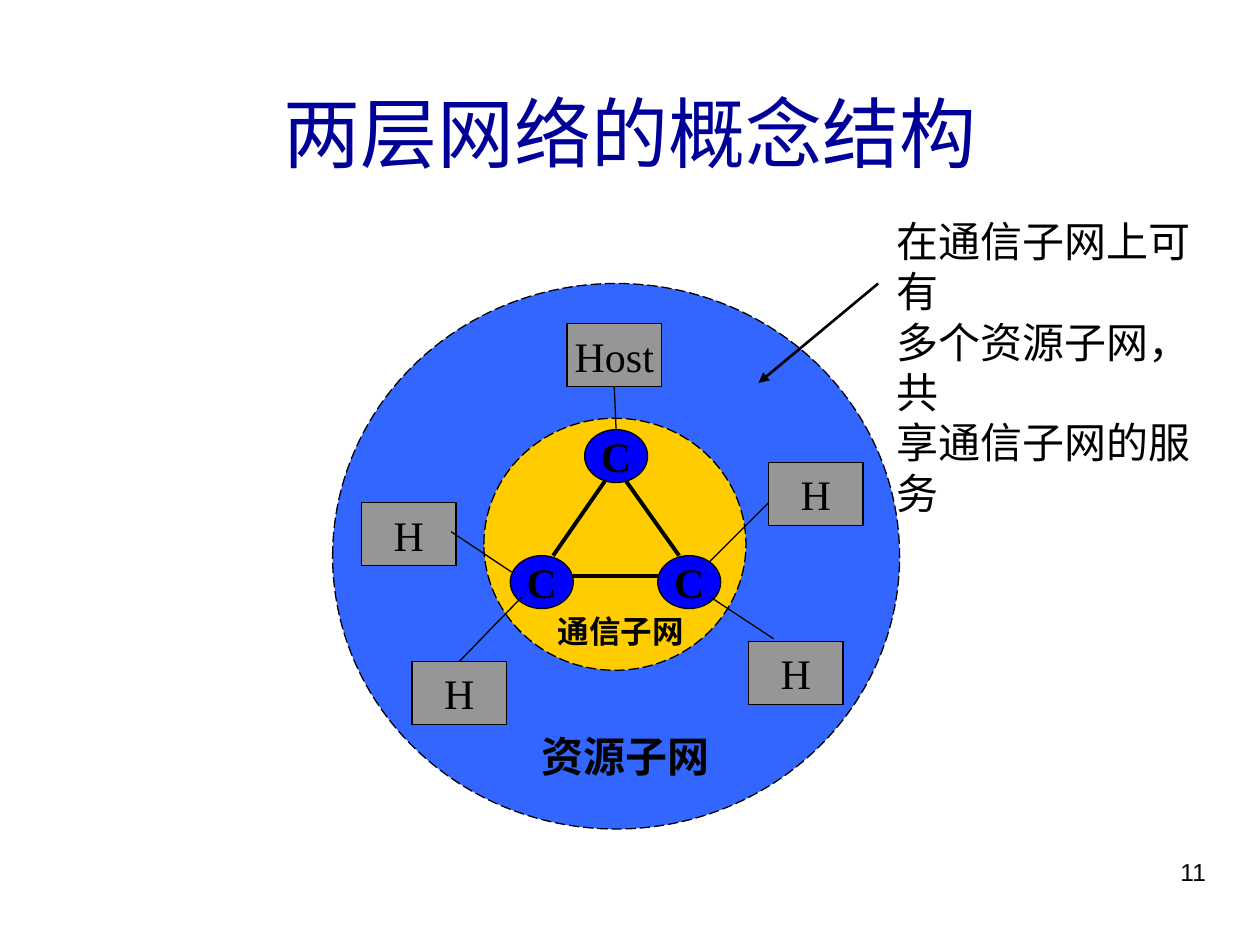
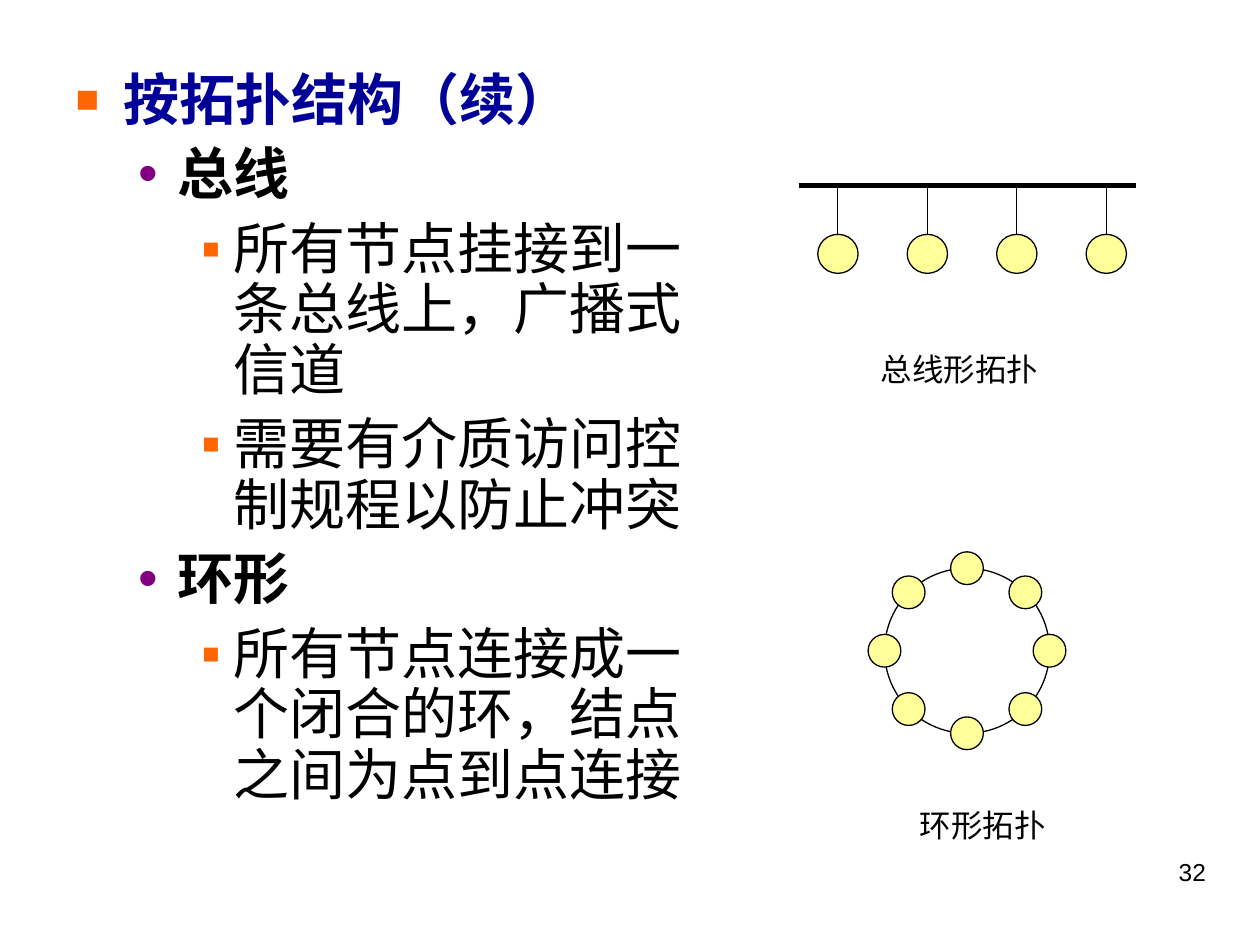
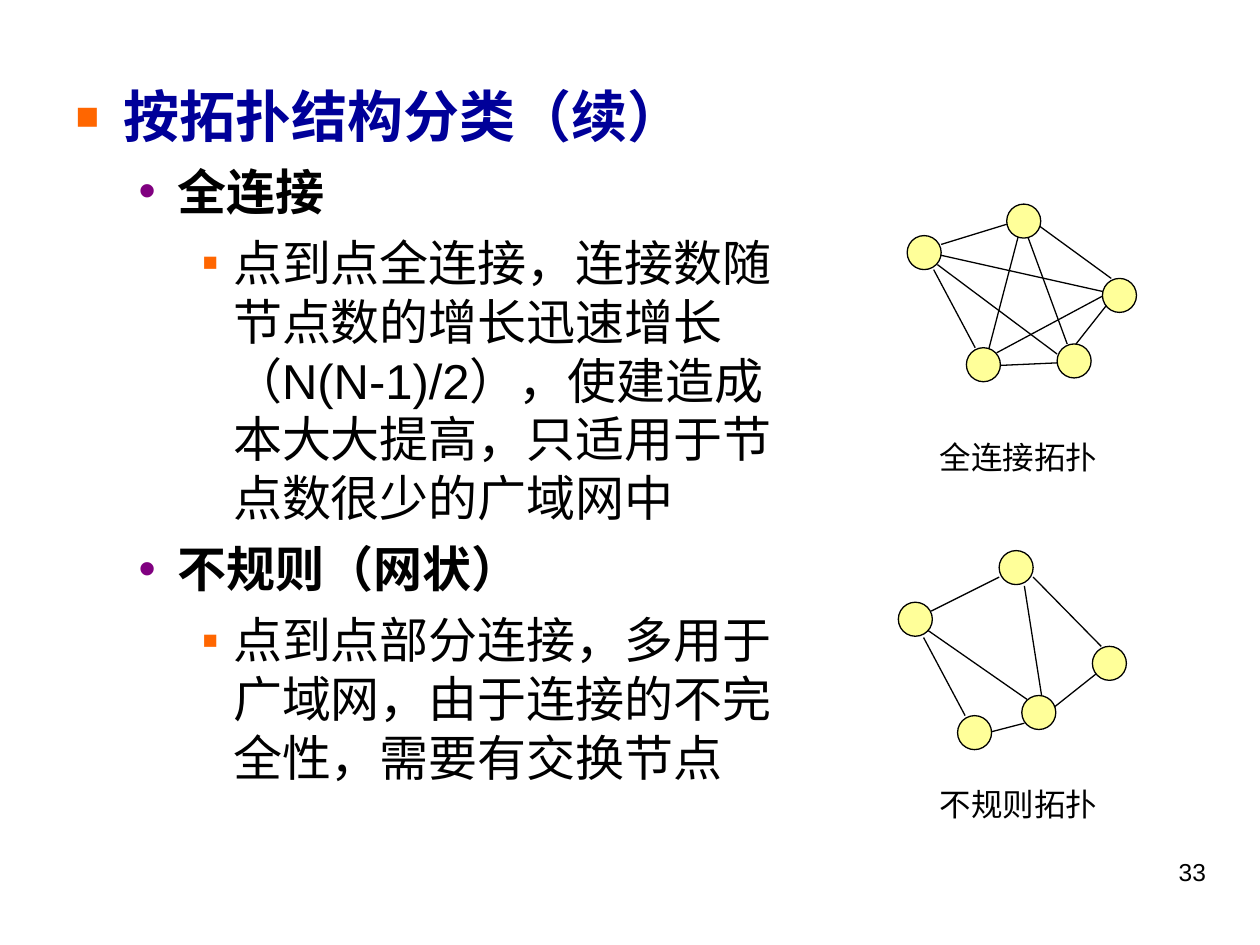
from math import cos, pi, sin

from lxml import etree
from pptx import Presentation
from pptx.dml.color import RGBColor
from pptx.enum.dml import MSO_LINE_DASH_STYLE as DASH
from pptx.enum.shapes import MSO_CONNECTOR as CXN, MSO_SHAPE as SHAPE
from pptx.enum.text import MSO_ANCHOR as ANCHOR, MSO_AUTO_SIZE as FIT, PP_ALIGN as ALIGN
from pptx.oxml.ns import qn
from pptx.util import Inches, Pt

COLORS = {
    "black": "000000", "title": "000099", "resource": "3366FF", "comm": "FFCC00",
    "switch": "0000FF", "host": "969696", "node": "FFFF99",
    "square": "FF6600", "dot": "800080",
}
FONTS = {
    "title": {"name": "Arial", "size": Pt(44), "bold": False},
    "number": {"name": "Arial", "size": Pt(14)},
    "caption": {"name": "Arial", "size": Pt(18)},
    "callout": {"name": "Arial", "size": Pt(24)},
    "host": {"name": "Times New Roman", "size": Pt(24)},
    "switch": {"name": "Times New Roman", "size": Pt(24), "bold": True},
    "small": {"name": "Times New Roman", "size": Pt(18), "bold": True},
}
LEVELS = [
    {"margin": 0.38, "indent": -0.38, "char": "■", "color": "square", "percent": 70},
    {"margin": 0.81, "indent": -0.31, "char": "•", "color": "dot", "percent": 100},
    {"margin": 1.25, "indent": -0.25, "char": "▪", "color": "square", "percent": 100},
]
FULL_MESH = {
    "nodes": [(1.19, 1.11), (0.47, 1.14), (1.55, 0.59), (0, 0.25), (0.79, 0)],
    "edges": [
        (0.24, 0.48, 1.19, 1.19), (0.93, 0.07, 0.64, 1.18), (0.27, 0.32, 0.79, 0.16),
        (0.21, 0.52, 0.54, 1.14), (0.71, 1.18, 1.55, 0.73), (0.95, 0.24, 1.27, 1.11),
        (1.03, 0.16, 1.62, 0.59), (0.74, 1.28, 1.19, 1.26), (1.34, 1.11, 1.6, 0.78),
        (0.24, 0.4, 1.58, 0.7),
    ],
}
PARTIAL_MESH = {
    "nodes": [(1.54, 0.76), (0.8, 0), (0.47, 1.31), (0, 0.41), (0.98, 1.15)],
    "edges": [
        (0.26, 0.48, 0.8, 0.21), (0.2, 0.69, 0.53, 1.31), (1, 0.28, 1.14, 1.17),
        (1.07, 0.21, 1.61, 0.76), (0.73, 1.44, 1, 1.37), (1.24, 1.24, 1.58, 0.97),
        (0.23, 0.63, 1.02, 1.18),
    ],
}


def rgb(name):
    """Return the named colour."""
    return RGBColor.from_string(COLORS[name])


def style(font, formats, color="black"):
    """Apply a dict of format values and a colour to a font."""
    for key, value in formats.items():
        setattr(font, key, value)
    font.color.rgb = rgb(color)


def add_label(shapes, box, lines, font, align=ALIGN.LEFT, wrap=True, fit=FIT.NONE):
    """Add a text box with one paragraph per line."""
    tf = shapes.add_textbox(*map(Inches, box)).text_frame
    tf.word_wrap, tf.auto_size = wrap, fit
    for i, line in enumerate(lines):
        p = tf.add_paragraph() if i else tf.paragraphs[0]
        p.alignment = align
        r = p.add_run()
        r.text = line
        style(r.font, FONTS[font])


def add_block(shapes, kind, box, fill=None, text="", font="host", dash=None):
    """Add a thinly outlined preset shape with optional centred text."""
    sp = shapes.add_shape(kind, *map(Inches, box))
    sp.shadow.inherit = False
    if fill:
        sp.fill.solid()
        sp.fill.fore_color.rgb = rgb(fill)
    else:
        sp.fill.background()
    sp.line.color.rgb = rgb("black")
    sp.line.width = Pt(0.75)
    if dash:
        sp.line.dash_style = dash
    if text:
        tf = sp.text_frame
        tf.word_wrap, tf.vertical_anchor = False, ANCHOR.MIDDLE
        p = tf.paragraphs[0]
        p.alignment = ALIGN.CENTER
        r = p.add_run()
        r.text = text
        style(r.font, FONTS[font])
    return sp


def add_line(shapes, x, y, ends, width=0.75, arrow=False):
    """Add a straight line whose ends are offsets from x, y."""
    x1, y1, x2, y2 = ends
    line = shapes.add_connector(CXN.STRAIGHT, *map(Inches, (x + x1, y + y1, x + x2, y + y2)))
    line.line.color.rgb = rgb("black")
    line.line.width = Pt(width)
    if arrow:
        etree.SubElement(line.line._get_or_add_ln(), qn("a:tailEnd"), type="triangle")
    etree.SubElement(line._element.spPr, qn("a:effectLst"))
    return line


def add_number(s, number):
    """Add the page number at the lower right."""
    add_label(s.shapes, (7.17, 6.75, 2.5, 0.52), [str(number)], "number", ALIGN.RIGHT)


def add_bullet(p, level):
    """Set the indents and bullet of an outline level."""
    fmt = LEVELS[level]
    p.level = level
    pPr = p._p.get_or_add_pPr()
    pPr.set("marL", str(Inches(fmt["margin"])))
    pPr.set("indent", str(Inches(fmt["indent"])))
    color = etree.SubElement(pPr, qn("a:buClr"))
    etree.SubElement(color, qn("a:srgbClr"), val=COLORS[fmt["color"]])
    etree.SubElement(pPr, qn("a:buSzPct"), val=str(fmt["percent"] * 1000))
    etree.SubElement(pPr, qn("a:buFont"), typeface="Arial")
    etree.SubElement(pPr, qn("a:buChar"), char=fmt["char"])


def add_outline(s, box, items, size, gap, spacing):
    """Fill the body placeholder with a three-level outline."""
    body = s.placeholders[1]
    body.left, body.top, body.width, body.height = map(Inches, box)
    tf = body.text_frame
    tf.auto_size = FIT.NONE
    for i, (level, text) in enumerate(items):
        p = tf.add_paragraph() if i else tf.paragraphs[0]
        add_bullet(p, level)
        p.space_before = Pt(gap if i else 0)
        p.line_spacing = spacing
        r = p.add_run()
        r.text = text
        formats = {"name": "Arial", "size": Pt(size if level else 32), "bold": level < 2}
        style(r.font, formats, "black" if level else "title")


def add_two_layers(s, x, y):
    """Draw the resource subnet around the communication subnet."""
    sh = s.shapes
    add_block(sh, SHAPE.OVAL, (x, y, 4.5, 4.33), "resource", dash=DASH.LONG_DASH)
    add_block(sh, SHAPE.OVAL, (x + 1.2, y + 1.07, 2.08, 2), "comm", dash=DASH.LONG_DASH)
    for dx, dy in [(2, 1.16), (2.58, 2.16), (1.41, 2.16)]:
        add_block(sh, SHAPE.OVAL, (x + dx, y + dy, 0.5, 0.42), "switch", "C", "switch")
    hosts = [(1.86, 0.32, "Host"), (0.63, 3, "H"), (3.3, 2.84, "H"), (3.46, 1.42, "H"),
             (0.23, 1.74, "H")]
    top, lower, *_ = [add_block(sh, SHAPE.RECTANGLE, (x + dx, y + dy, 0.75, 0.5), "host", text)
                      for dx, dy, text in hosts]
    for ends in [(2.16, 1.57, 1.75, 2.16), (2.33, 1.57, 2.75, 2.16), (1.91, 2.32, 2.58, 2.32)]:
        add_line(sh, x, y, ends, 2.25)
    for ends in [(3, 2.49, 3.5, 2.82), (0.94, 1.97, 1.42, 2.29), (2.99, 2.21, 3.46, 1.74)]:
        add_line(sh, x, y, ends)
    add_line(sh, x, y, (2.25, 0.82, 2.25, 1.16)).begin_connect(top, 2)
    add_line(sh, x, y, (1.5, 2.49, 1.02, 3)).end_connect(lower, 0)
    add_label(sh, (x + 1.41, y + 3.5, 1.83, 0.5), ["资源子网"], "switch", ALIGN.CENTER)
    add_label(sh, (x + 1.66, y + 2.56, 1.25, 0.4), ["通信子网"], "small", ALIGN.CENTER)


def add_callout(s, x, y):
    """Add the remark and its arrow into the resource subnet."""
    lines = ["在通信子网上可有", "多个资源子网，共", "享通信子网的服务"]
    add_label(s.shapes, (x, y, 2.86, 1.3), lines, "callout", wrap=False, fit=FIT.SHAPE_TO_FIT_TEXT)
    add_line(s.shapes, x, y, (-0.05, 0.59, -1, 1.38), 1.5, arrow=True)


def add_bus(s, x, y):
    """Draw four nodes hanging from a bus."""
    sh = s.shapes.add_group_shape().shapes
    add_line(sh, x, y, (0, 0, 2.68, 0), 3)
    for i in range(4):
        dx = 0.31 + 0.71 * i
        add_line(sh, x, y, (dx, 0, dx, 0.39))
        add_block(sh, SHAPE.OVAL, (x + dx - 0.16, y + 0.39, 0.32, 0.31), "node")


def add_ring(s, x, y, size=1.31, node=0.26, count=8):
    """Draw nodes evenly spaced around a circle."""
    sh = s.shapes.add_group_shape().shapes
    add_block(sh, SHAPE.OVAL, (x, y, size, size))
    radius = size / 2
    for i in range(count):
        angle = 2 * pi * i / count
        left = x + radius + radius * sin(angle) - node / 2
        top = y + radius - radius * cos(angle) - node / 2
        add_block(sh, SHAPE.OVAL, (left, top, node, node), "node")


def add_mesh(s, x, y, mesh):
    """Draw a mesh of nodes and links."""
    sh = s.shapes.add_group_shape().shapes
    for ends in mesh["edges"]:
        add_line(sh, x, y, ends)
    for dx, dy in mesh["nodes"]:
        add_block(sh, SHAPE.OVAL, (x + dx, y + dy, 0.27, 0.27), "node")


def add_concept_slide(prs):
    """Build the slide on the two-layer network."""
    s = prs.slides.add_slide(prs.slide_layouts[5])
    title = s.shapes.title
    title.left, title.top, title.width, title.height = map(Inches, (0.33, 0.42, 9.34, 1.25))
    tf = title.text_frame
    tf.text = "两层网络的概念结构"
    tf.vertical_anchor = ANCHOR.MIDDLE
    p = tf.paragraphs[0]
    p.alignment = ALIGN.CENTER
    style(p.runs[0].font, FONTS["title"], "title")
    add_two_layers(s, 2.64, 2.25)
    add_callout(s, 7.02, 1.66)
    add_number(s, 11)


def add_topology_slide(prs, number, box, items, captions, size=32, gap=8, spacing=1.0):
    """Build an outline slide with captions for its diagrams."""
    s = prs.slides.add_slide(prs.slide_layouts[1])
    title = s.shapes.title._element
    title.getparent().remove(title)
    add_outline(s, box, items, size, gap, spacing)
    for x, y, text in captions:
        add_label(s.shapes, (x, y, 1.57, 0.4), [text], "caption")
    add_number(s, number)
    return s


def main():
    """Build and save the slides."""
    prs = Presentation()
    prs.slide_width, prs.slide_height = Inches(10), Inches(7.5)
    add_concept_slide(prs)

    s = add_topology_slide(prs, 32, (0.5, 0.52, 5.44, 6.18), [
        (0, "按拓扑结构（续）"),
        (1, "总线"),
        (2, "所有节点挂接到一条总线上，广播式信道"),
        (2, "需要有介质访问控制规程以防止冲突"),
        (1, "环形"),
        (2, "所有节点连接成一个闭合的环，结点之间为点到点连接"),
    ], [(6.89, 2.73, "总线形拓扑"), (7.2, 6.35, "环形拓扑")], spacing=0.9)
    add_bus(s, 6.34, 1.47)
    add_ring(s, 7.02, 4.51)

    s = add_topology_slide(prs, 33, (0.5, 0.6, 5.92, 6.1), [
        (0, "按拓扑结构分类（续）"),
        (1, "全连接"),
        (2, "点到点全连接，连接数随节点数的增长迅速增长（N(N-1)/2），"
            "使建造成本大大提高，只适用于节点数很少的广域网中"),
        (1, "不规则（网状）"),
        (2, "点到点部分连接，多用于广域网，由于连接的不完全性，需要有交换节点"),
    ], [(7.36, 3.43, "全连接拓扑"), (7.36, 6.18, "不规则拓扑")], size=28, gap=7)
    add_mesh(s, 7.2, 1.62, FULL_MESH)
    add_mesh(s, 7.13, 4.37, PARTIAL_MESH)
    prs.save("out.pptx")


if __name__ == "__main__":
    main()
